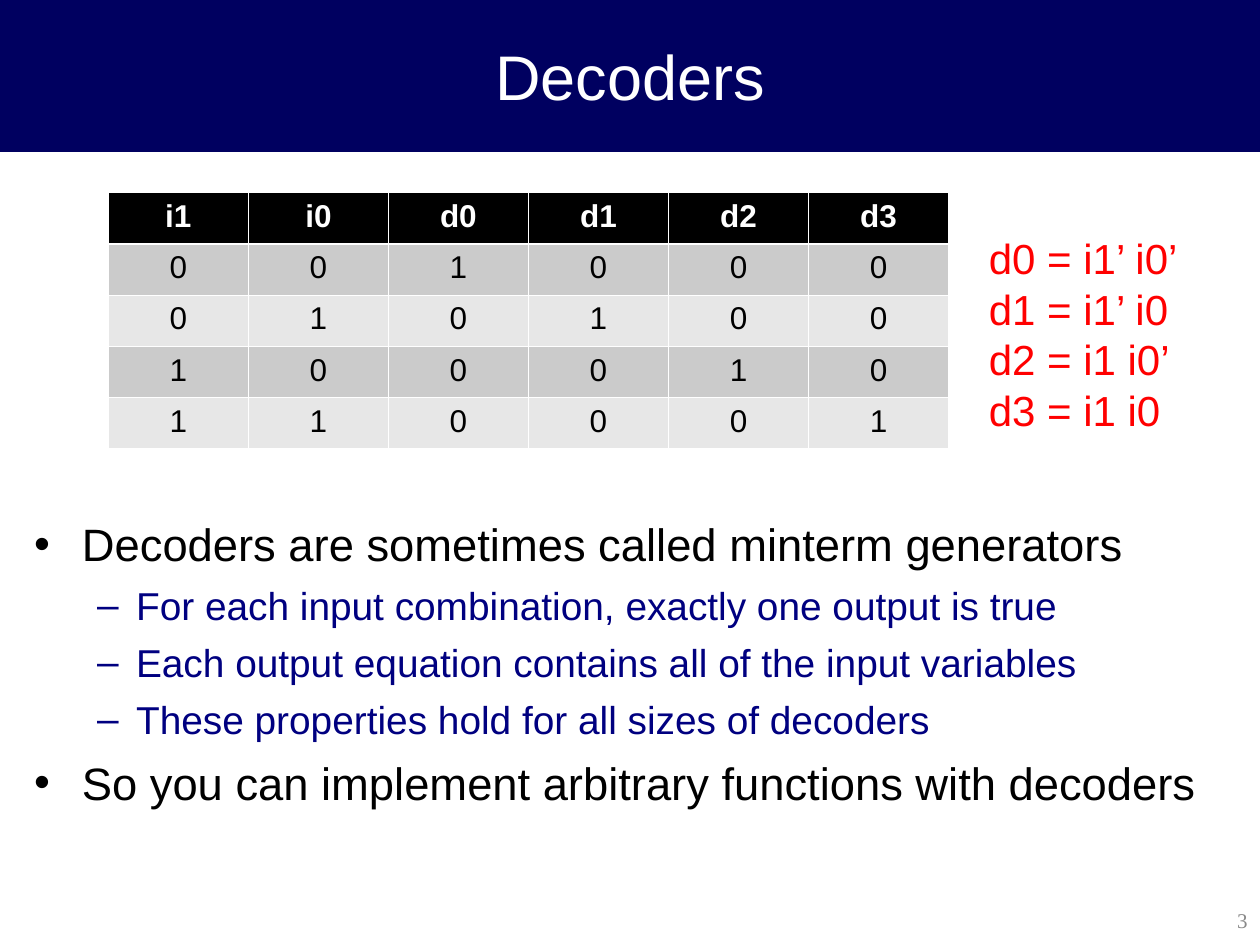
from lxml import etree
from pptx import Presentation
from pptx.dml.color import RGBColor
from pptx.enum.shapes import MSO_SHAPE
from pptx.enum.text import MSO_ANCHOR, MSO_AUTO_SIZE, PP_ALIGN
from pptx.oxml.ns import qn
from pptx.util import Inches, Pt

RECTANGLE = MSO_SHAPE.RECTANGLE
MIDDLE = MSO_ANCHOR.MIDDLE
NO_AUTOFIT = MSO_AUTO_SIZE.NONE
LEFT, CENTER, RIGHT = PP_ALIGN.LEFT, PP_ALIGN.CENTER, PP_ALIGN.RIGHT

NAVY, BLUE, RED, GRAY = "000060", "000080", "FF0000", "898989"
BLACK, WHITE = "000000", "FFFFFF"
ROW_FILLS = ("CBCBCB", "E7E7E7")

TRUTH_TABLE = [
    ("i1", "i0", "d0", "d1", "d2", "d3"),
    ("0", "0", "1", "0", "0", "0"),
    ("0", "1", "0", "1", "0", "0"),
    ("1", "0", "0", "0", "1", "0"),
    ("1", "1", "0", "0", "0", "1"),
]
EQUATIONS = ["d0 = i1’ i0’", "d1 = i1’ i0", "d2 = i1 i0’", "d3 = i1 i0"]
BULLETS = [
    (0, "Decoders are sometimes called minterm generators"),
    (1, "For each input combination, exactly one output is true"),
    (1, "Each output equation contains all of the input variables"),
    (1, "These properties hold for all sizes of decoders"),
    (0, "So you can implement arbitrary functions with decoders"),
]
LEVELS = [
    {"mark": "•", "margin": 0.38, "hanging": 0.38, "before": 7, "size": 25.9, "color": BLACK},
    {"mark": "–", "margin": 0.81, "hanging": 0.31, "before": 6, "size": 22.2, "color": BLUE},
]


def rgb(color):
    return RGBColor.from_string(color)


def format_paragraph(paragraph, size, color, align=LEFT, name="Arial", bold=False):
    paragraph.alignment = align
    values = {"size": Pt(size), "name": name, "bold": bold}
    for attribute, value in values.items():
        setattr(paragraph.font, attribute, value)
    paragraph.font.color.rgb = rgb(color)


def place(shape, box):
    for attribute, value in zip(("left", "top", "width", "height"), box):
        setattr(shape, attribute, Inches(value))


def add_title(slide, box, text):
    band = slide.shapes.add_shape(RECTANGLE, *map(Inches, box))
    band.shadow.inherit = False
    band.fill.solid()
    band.fill.fore_color.rgb = rgb(NAVY)
    band.line.color.rgb = rgb(NAVY)
    band.line.width = Pt(0.75)

    title = slide.shapes.title
    title.element.addprevious(band.element)
    place(title, box)
    title.text_frame.text = text
    title.text_frame.vertical_anchor = MIDDLE
    format_paragraph(title.text_frame.paragraphs[0], 36, WHITE, CENTER)


def set_bullet(paragraph, mark, margin, hanging, color):
    properties = paragraph._p.get_or_add_pPr()
    properties.set("marL", str(Inches(margin)))
    properties.set("indent", str(-Inches(hanging)))
    bullet_color = etree.SubElement(properties, qn("a:buClr"))
    etree.SubElement(bullet_color, qn("a:srgbClr"), val=color)
    etree.SubElement(properties, qn("a:buFont"), typeface="Arial")
    etree.SubElement(properties, qn("a:buChar"), char=mark)


def add_bullets(slide, box, bullets):
    body = slide.placeholders[1]
    place(body, box)
    frame = body.text_frame
    frame.auto_size = NO_AUTOFIT
    frame.text = "\n".join(text for _, text in bullets)
    for index, (paragraph, (level, _)) in enumerate(zip(frame.paragraphs, bullets)):
        style = LEVELS[level]
        paragraph.level = level
        set_bullet(paragraph, style["mark"], style["margin"], style["hanging"], style["color"])
        paragraph.space_before = Pt(style["before"] if index else 0)
        format_paragraph(paragraph, style["size"], style["color"])


def set_borders(cell, widths):
    """Draw white borders; widths maps each side's tag to points."""
    properties = cell._tc.get_or_add_tcPr()
    for position, (side, width) in enumerate(widths.items()):
        line = etree.Element(qn(f"a:{side}"), w=str(Pt(width)))
        fill = etree.SubElement(line, qn("a:solidFill"))
        etree.SubElement(fill, qn("a:srgbClr"), val=WHITE)
        properties.insert(position, line)


def add_truth_table(slide, box, rows):
    frame = slide.shapes.add_table(len(rows), len(rows[0]), *map(Inches, box))
    for row_index, row in enumerate(rows):
        header = row_index == 0
        fill = BLACK if header else ROW_FILLS[(row_index - 1) % 2]
        widths = {"lnL": 0.45, "lnR": 0.45,
                  "lnT": 1.47 if row_index == 1 else 0.45,
                  "lnB": 1.47 if header else 0.45}
        for column_index, text in enumerate(row):
            cell = frame.table.cell(row_index, column_index)
            cell.text = text
            cell.fill.solid()
            cell.fill.fore_color.rgb = rgb(fill)
            set_borders(cell, widths)
            format_paragraph(cell.text_frame.paragraphs[0], 18,
                             WHITE if header else BLACK, CENTER, bold=header)


def add_text(slide, box, lines, wrap=True, anchor=None, **style):
    frame = slide.shapes.add_textbox(*map(Inches, box)).text_frame
    frame.word_wrap = wrap
    frame.vertical_anchor = anchor
    frame.text = "\n".join(lines)
    for paragraph in frame.paragraphs:
        format_paragraph(paragraph, **style)


def main():
    presentation = Presentation()
    presentation.slide_width = Inches(10)
    presentation.slide_height = Inches(7.5)
    slide = presentation.slides.add_slide(presentation.slide_layouts[1])

    add_title(slide, (0, 0, 10, 1.2), "Decoders")
    add_bullets(slide, (0.17, 4.05, 9.66, 3.05), BULLETS)
    add_text(slide, (7.88, 7.1, 2.12, 0.4), ["3"], anchor=MIDDLE,
             size=12, color=GRAY, align=RIGHT, name="Times New Roman")
    add_truth_table(slide, (0.86, 1.53, 6.67, 2.03), TRUTH_TABLE)
    add_text(slide, (7.75, 1.8, 1.8, 1.7), EQUATIONS, wrap=False, size=24, color=RED)
    presentation.save("out.pptx")


if __name__ == "__main__":
    main()
